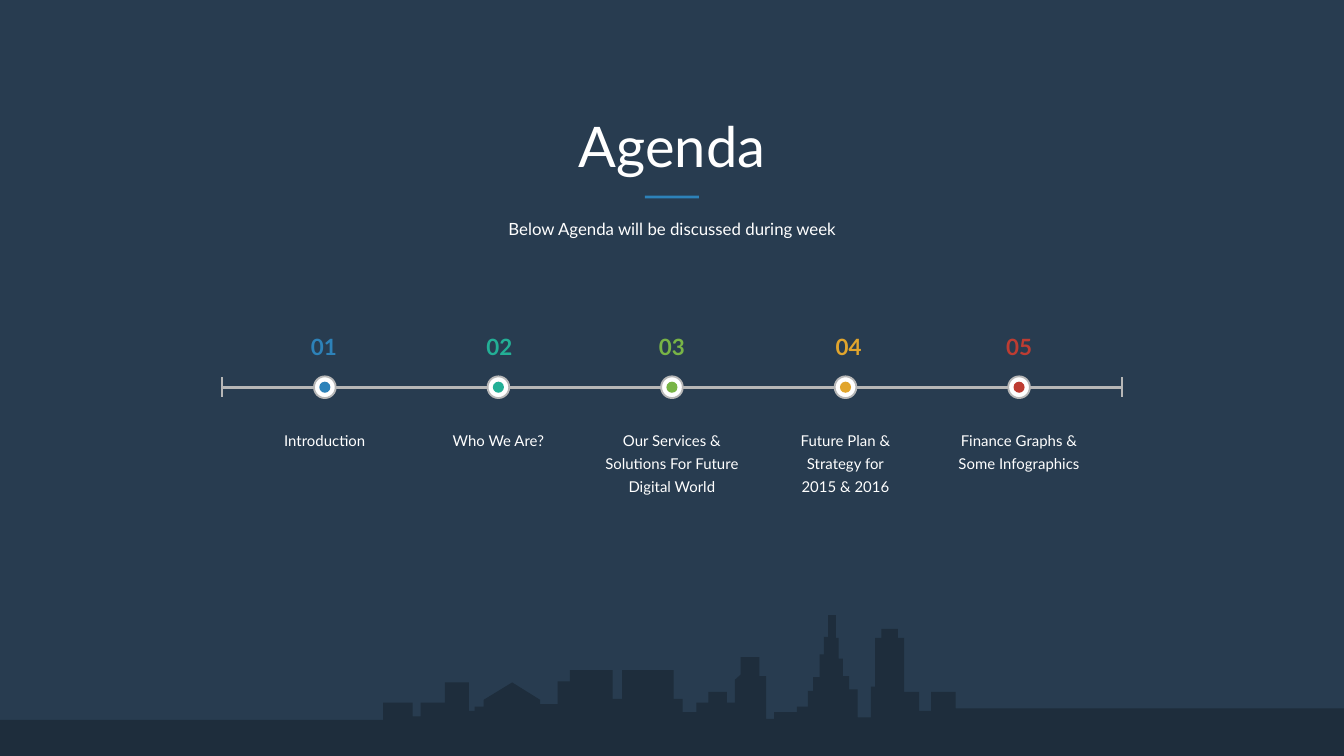
"""Build an agenda slide with a five-step timeline above a city skyline."""
from typing import NamedTuple

from lxml.etree import SubElement
from pptx import Presentation
from pptx.dml.color import RGBColor
from pptx.enum.shapes import MSO_CONNECTOR, MSO_SHAPE
from pptx.enum.text import MSO_ANCHOR, MSO_AUTO_SIZE, PP_ALIGN
from pptx.oxml.ns import qn
from pptx.shapes.autoshape import Shape
from pptx.slide import Slide
from pptx.util import Cm, Pt

NAVY = RGBColor(0x28, 0x3C, 0x50)
DARK = RGBColor(0x1E, 0x2D, 0x3C)
WHITE = RGBColor(0xFF, 0xFF, 0xFF)
GREY = RGBColor(0xB7, 0xB7, 0xB7)
BLUE = RGBColor(0x2D, 0x82, 0xB9)
TEAL = RGBColor(0x23, 0xAF, 0x96)
GREEN = RGBColor(0x78, 0xB4, 0x46)
GOLD = RGBColor(0xE1, 0xA5, 0x2D)
RED = RGBColor(0xBE, 0x3C, 0x32)

WIDTH, HEIGHT = 25.4, 14.29
MID = WIDTH / 2
PITCH = 3.28
AXIS = 7.32
LEFT, RIGHT = 4.2, 21.2


class Step(NamedTuple):
    label: str
    color: RGBColor
    lines: int
    shift: float = 0


class Edge(NamedTuple):
    x: float
    y: float
    slant: bool = False


STEPS = [
    Step("Introduction", BLUE, 1, -0.02),
    Step("Who We Are?", TEAL, 1, 0.02),
    Step("Our Services & Solutions For Future Digital World", GREEN, 3),
    Step("Future Plan & Strategy for\n2015 & 2016", GOLD, 3, 0.06),
    Step("Finance Graphs & Some Infographics", RED, 2),
]

SKYLINE = [
    Edge(7.24, 13.28), Edge(7.8, 13.54), Edge(7.95, 13.28), Edge(8.41, 12.9),
    Edge(8.86, 13.44), Edge(8.97, 13.36), Edge(9.14, 13.23),
    Edge(9.68, 12.9, True), Edge(10.21, 13.23, True), Edge(10.21, 13.31),
    Edge(10.54, 12.88), Edge(10.77, 12.67), Edge(11.58, 13.21),
    Edge(11.76, 12.67), Edge(12.73, 13.21), Edge(12.9, 13.46),
    Edge(13.16, 13.28), Edge(13.39, 13.08), Edge(13.74, 13.28),
    Edge(13.89, 12.85), Edge(14, 12.75, True), Edge(14, 12.42),
    Edge(14.35, 12.78), Edge(14.48, 13.59), Edge(14.63, 13.46),
    Edge(15.06, 13.36), Edge(15.27, 13.06), Edge(15.37, 12.8),
    Edge(15.49, 12.37), Edge(15.57, 12.04), Edge(15.65, 11.63),
    Edge(15.8, 12.06), Edge(15.85, 12.45), Edge(15.93, 12.78),
    Edge(16.05, 13.03), Edge(16.21, 13.56), Edge(16.46, 12.98),
    Edge(16.54, 12.06), Edge(16.66, 11.89), Edge(16.97, 12.06),
    Edge(17.09, 13.08), Edge(17.37, 13.44), Edge(17.6, 13.08),
    Edge(18.06, 13.39), Edge(25.83, HEIGHT),
]


def paint(shape: Shape, fill: RGBColor, line: RGBColor | None = None) -> None:
    shape.shadow.inherit = False
    shape.fill.solid()
    shape.fill.fore_color.rgb = fill
    if line is None:
        shape.line.fill.background()
    else:
        shape.line.color.rgb = line
        shape.line.width = Pt(1)


def draw_city(slide: Slide) -> None:
    start, base = -0.43, 13.61
    points = []
    level = base
    for edge in SKYLINE:
        if not edge.slant:
            points.append((Cm(edge.x), Cm(level)))
        points.append((Cm(edge.x), Cm(edge.y)))
        level = edge.y
    points.append((Cm(start), Cm(HEIGHT)))
    outline = slide.shapes.build_freeform(Cm(start), Cm(base))
    outline.add_line_segments(points, close=True)
    paint(outline.convert_to_shape(), DARK)


def write(box: Shape, text: str, size: float, color: RGBColor = WHITE,
          bold: bool = False, leading: float = 1) -> None:
    frame = box.text_frame
    frame.text = text
    frame.word_wrap = True
    frame.auto_size = MSO_AUTO_SIZE.NONE
    frame.vertical_anchor = MSO_ANCHOR.TOP
    frame.margin_left = frame.margin_right = 0
    frame.margin_top = frame.margin_bottom = 0
    for line in frame.paragraphs:
        line.alignment = PP_ALIGN.CENTER
        line.line_spacing = leading
        line.space_before = Pt(0)
        line.font.name = "Lato"
        line.font.size = Pt(size)
        line.font.bold = bold
        line.font.color.rgb = color


def place(box: Shape, top: float, width: float, height: float) -> None:
    box.left, box.top = Cm(MID - width / 2), Cm(top)
    box.width, box.height = Cm(width), Cm(height)


def add_box(slide: Slide, mid: float, top: float, width: float,
            height: float) -> Shape:
    return slide.shapes.add_textbox(
        Cm(mid - width / 2), Cm(top), Cm(width), Cm(height))


def add_line(slide: Slide, x1: float, y1: float, x2: float, y2: float,
             weight: float) -> None:
    line = slide.shapes.add_connector(
        MSO_CONNECTOR.STRAIGHT, Cm(x1), Cm(y1), Cm(x2), Cm(y2))
    line.line.color.rgb = GREY
    line.line.width = Pt(weight)
    SubElement(line._element.spPr, qn("a:effectLst"))


def add_dot(slide: Slide, mid: float, size: float, fill: RGBColor,
            line: RGBColor | None = None) -> None:
    dot = slide.shapes.add_shape(
        MSO_SHAPE.OVAL, Cm(mid - size / 2), Cm(AXIS - size / 2),
        Cm(size), Cm(size))
    paint(dot, fill, line)


def add_step(slide: Slide, index: int, step: Step) -> None:
    mid = MID + (index - 2) * PITCH
    add_dot(slide, mid, 0.41, WHITE, GREY)
    add_dot(slide, mid, 0.21, step.color)
    number = add_box(slide, mid + step.shift, 6.3, 0.6, 0.51)
    write(number, f"{index + 1:02}", 12, step.color, bold=True)
    label = add_box(slide, mid, 8.05, 2.54, 0.45 * step.lines)
    write(label, step.label, 8, leading=1.3)


def main() -> None:
    deck = Presentation()
    deck.slide_width, deck.slide_height = Cm(WIDTH), Cm(HEIGHT)
    slide = deck.slides.add_slide(deck.slide_layouts[0])
    slide.background.fill.solid()
    slide.background.fill.fore_color.rgb = NAVY
    draw_city(slide)

    title, intro = slide.placeholders
    place(title, 2.11, 21.6, 1.27)
    write(title, "Agenda", 30)
    place(intro, 4.14, 21.6, 0.38)
    write(intro, "Below Agenda will be discussed during week", 9)
    rule = slide.shapes.add_shape(
        MSO_SHAPE.RECTANGLE, Cm(MID - 0.51), Cm(3.7), Cm(1.02), Cm(0.05))
    paint(rule, BLUE)

    add_line(slide, LEFT, AXIS, RIGHT, AXIS, 1.5)
    for end in (LEFT, RIGHT):
        add_line(slide, end, AXIS - 0.19, end, AXIS + 0.19, 1)
    for index, step in enumerate(STEPS):
        add_step(slide, index, step)
    deck.save("out.pptx")


if __name__ == "__main__":
    main()
